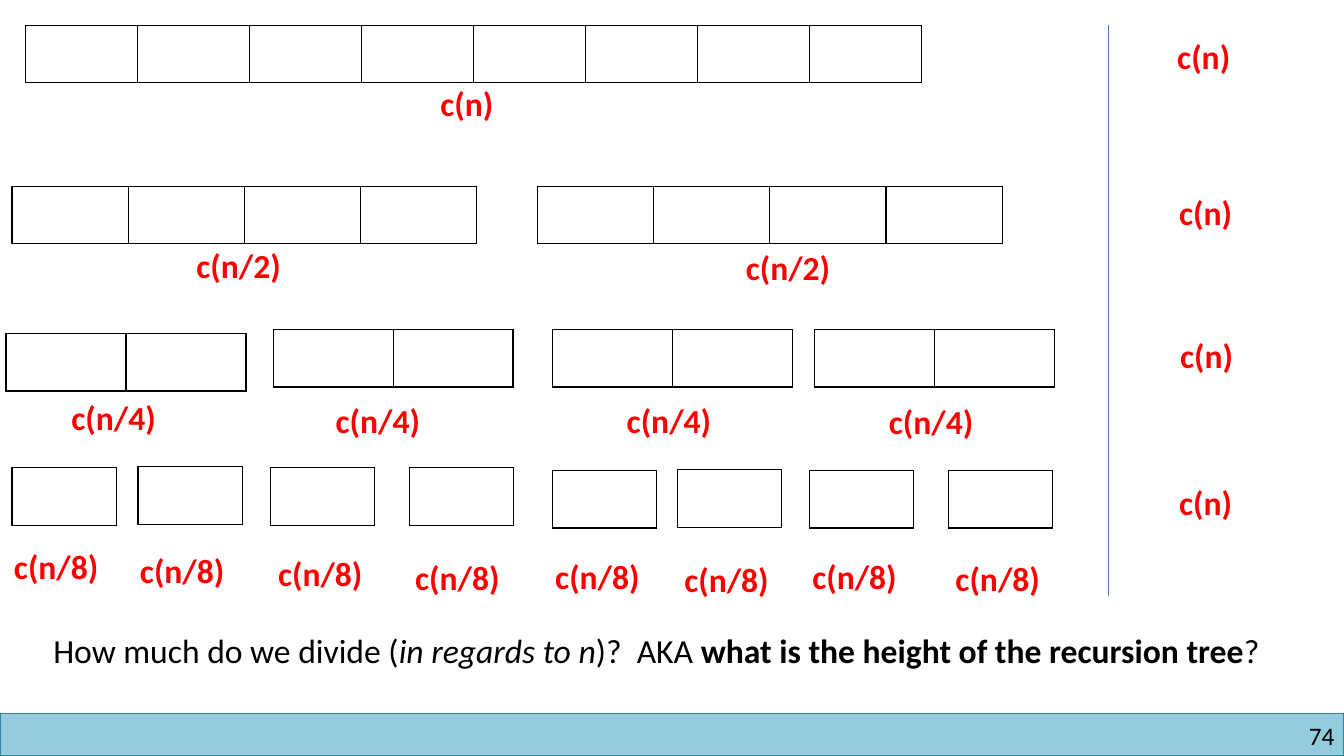
"""Build a slide showing the cost of each level of a recursion tree."""
from typing import NamedTuple

from lxml.etree import SubElement
from pptx import Presentation
from pptx.dml.color import RGBColor
from pptx.enum.shapes import MSO_CONNECTOR as Connector, MSO_SHAPE as Shape
from pptx.enum.text import MSO_AUTO_SIZE as AutoSize, PP_ALIGN as Align
from pptx.oxml.ns import qn
from pptx.slide import Slide
from pptx.table import _Cell as Cell
from pptx.text.text import Font
from pptx.util import Pt

BLACK = RGBColor(0x00, 0x00, 0x00)
WHITE = RGBColor(0xFF, 0xFF, 0xFF)
RED = RGBColor(0xFF, 0x00, 0x00)
BAR_FILL = RGBColor(0x93, 0xCD, 0xDD)
BAR_LINE = RGBColor(0x31, 0x85, 0x9C)
DIVIDER = RGBColor(0x4B, 0x7E, 0xBC)
FONT = "Calibri"
ROW_HEIGHT = 41
LABEL_HEIGHT = 36


class Point(NamedTuple):
    x: float
    y: float


class Level(NamedTuple):
    cost: str
    cells: int
    cell_width: float
    label_width: float
    arrays: list[Point]
    labels: list[Point]
    total: Point


LEVELS = [
    Level("c(n)", 8, 80, 59, [Point(18, 18)], [Point(307.4, 55.4)],
          Point(833.8, 22.3)),
    Level("c(n/2)", 4, 83, 79,
          [Point(8.6, 133.2), Point(383.8, 133.2)],
          [Point(133.2, 171.4), Point(525.6, 172.8)],
          Point(835.2, 133.2)),
    Level("c(n/4)", 2, 85.7, 79,
          [Point(4.3, 238.3), Point(195.1, 235.4),
           Point(394.6, 235.4), Point(581.8, 235.4)],
          [Point(43.9, 280.1), Point(232.6, 282.2),
           Point(440.6, 282.2), Point(627.8, 283)],
          Point(835.9, 235.4)),
    Level("c(n/8)", 1, 74.4, 79,
          [Point(8.6, 334.1), Point(98.6, 333.4),
           Point(193, 334.1), Point(292.3, 334.1),
           Point(394.6, 336.2), Point(483.8, 335.5),
           Point(578.2, 336.2), Point(677.5, 336.2)],
          [Point(2.9, 386.6), Point(92.9, 389.5),
           Point(191.5, 391.7), Point(289.4, 394.6),
           Point(389.5, 393.8), Point(481.7, 396),
           Point(573.1, 393.8), Point(675.4, 395.3)],
          Point(835.2, 340.6)),
]


def style_font(font: Font, size: float, color: RGBColor) -> None:
    font.name = FONT
    font.size = Pt(size)
    font.color.rgb = color


def style_cell(cell: Cell) -> None:
    tc_pr = cell._tc.get_or_add_tcPr()
    for side in ("lnL", "lnR", "lnT", "lnB"):
        ln = SubElement(tc_pr, qn(f"a:{side}"), w=str(Pt(1)))
        fill = SubElement(ln, qn("a:solidFill"))
        SubElement(fill, qn("a:srgbClr"), val=str(BLACK))
    cell.fill.solid()
    cell.fill.fore_color.rgb = WHITE


def add_array(s: Slide, at: Point, level: Level) -> None:
    table = s.shapes.add_table(
        1, level.cells, Pt(at.x), Pt(at.y),
        Pt(level.cells * level.cell_width), Pt(ROW_HEIGHT)).table
    table.first_row = False
    table.horz_banding = False
    for column in table.columns:
        column.width = Pt(level.cell_width)
    for cell in table.iter_cells():
        style_cell(cell)


def add_label(s: Slide, at: Point, width: float, text: str) -> None:
    tf = s.shapes.add_textbox(
        Pt(at.x), Pt(at.y), Pt(width), Pt(LABEL_HEIGHT)).text_frame
    tf.word_wrap = False
    tf.auto_size = AutoSize.SHAPE_TO_FIT_TEXT
    tf.text = text
    r = tf.paragraphs[0].runs[0]
    style_font(r.font, 24, RED)
    r.font.bold = True


def add_footer(s: Slide) -> None:
    bar = s.shapes.add_shape(Shape.RECTANGLE, 0, Pt(509.8), Pt(960), Pt(30.2))
    bar.shadow.inherit = False
    bar.fill.solid()
    bar.fill.fore_color.rgb = BAR_FILL
    bar.line.color.rgb = BAR_LINE
    bar.line.width = Pt(1)
    tf = s.shapes.add_textbox(
        Pt(732.2), Pt(514.8), Pt(221), Pt(21.6)).text_frame
    tf.margin_left = tf.margin_top = tf.margin_right = tf.margin_bottom = 0
    tf.word_wrap = True
    tf.text = "74"
    p = tf.paragraphs[0]
    p.alignment = Align.RIGHT
    style_font(p.runs[0].font, 18, BLACK)


def add_divider(s: Slide) -> None:
    line = s.shapes.add_connector(
        Connector.STRAIGHT, Pt(792), Pt(18), Pt(792), Pt(426))
    line.line.color.rgb = DIVIDER
    line.line.width = Pt(0.75)
    SubElement(line._element.spPr, qn("a:effectLst"))


def add_question(s: Slide) -> None:
    tf = s.shapes.add_textbox(
        Pt(31), Pt(446.4), Pt(876.2), Pt(65.5)).text_frame
    tf.word_wrap = True
    p = tf.paragraphs[0]
    for text, bold, italic in (
            ("How much do we divide (", False, False),
            ("in regards to n", False, True),
            (")?  AKA ", False, False),
            ("what is the height of the recursion tree", True, False),
            ("?", False, False)):
        r = p.add_run()
        r.text = text
        style_font(r.font, 24, BLACK)
        r.font.bold = bold
        r.font.italic = italic


def main() -> None:
    prs = Presentation()
    prs.slide_width, prs.slide_height = Pt(960), Pt(540)
    s = prs.slides.add_slide(prs.slide_layouts[6])
    add_footer(s)
    for level in LEVELS:
        for at in level.arrays:
            add_array(s, at, level)
        for at in level.labels:
            add_label(s, at, level.label_width, level.cost)
        add_label(s, level.total, LEVELS[0].label_width, LEVELS[0].cost)
    add_divider(s)
    add_question(s)
    prs.save("out.pptx")


if __name__ == "__main__":
    main()
